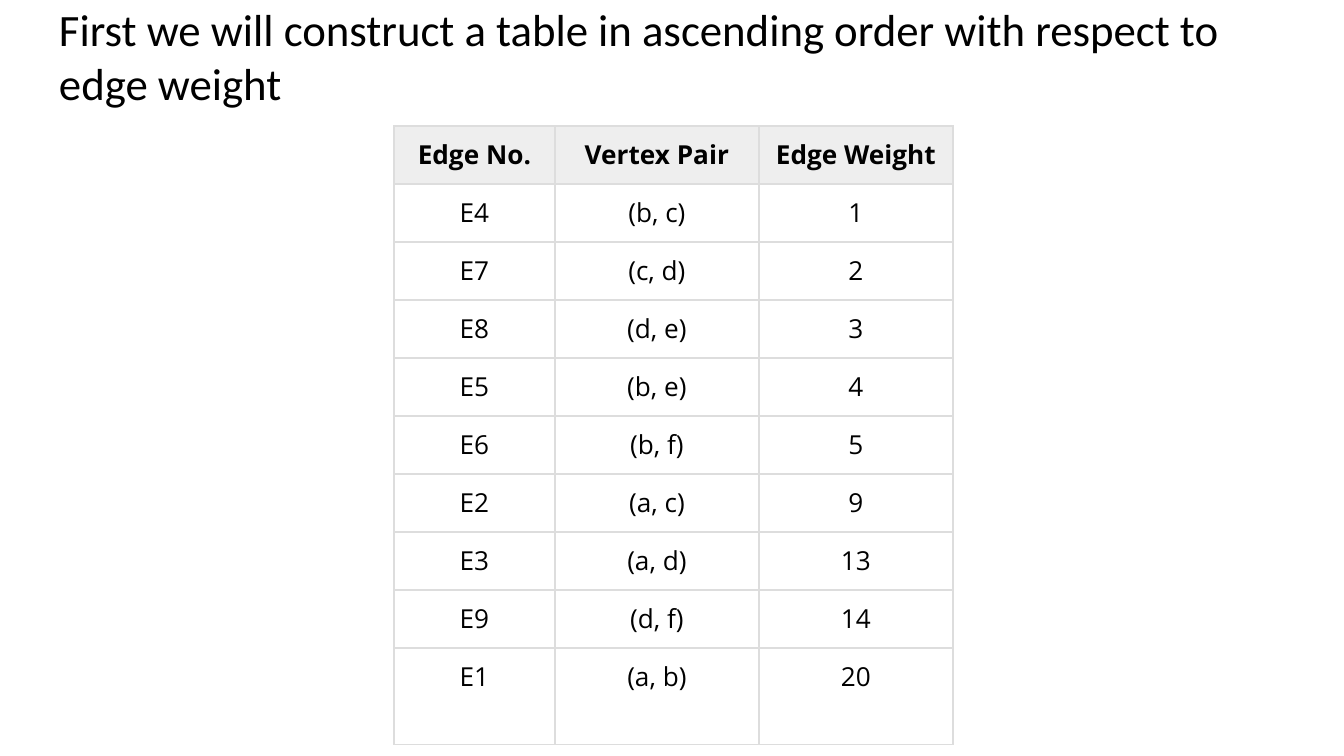
from lxml.etree import SubElement
from pptx import Presentation
from pptx.dml.color import RGBColor
from pptx.enum.text import MSO_ANCHOR as ANCHOR, MSO_AUTO_SIZE as AUTO_SIZE, PP_ALIGN as ALIGN
from pptx.oxml.ns import qn
from pptx.util import Emu, Pt

BLACK = RGBColor(0x00, 0x00, 0x00)
HEADER_GREY = RGBColor(0xEE, 0xEE, 0xEE)
BORDER_GREY = RGBColor(0xDD, 0xDD, 0xDD)


def px(n):
    return Emu(round(n * 914400 / 134.4))


def add_borders(cell):
    for side in ("lnL", "lnR", "lnT", "lnB"):
        line = SubElement(cell._tc.get_or_add_tcPr(), qn(f"a:{side}"), w=str(Pt(0.75)))
        solid = SubElement(line, qn("a:solidFill"))
        SubElement(solid, qn("a:srgbClr"), val=str(BORDER_GREY))


prs = Presentation()
prs.slide_width, prs.slide_height = px(1344), px(756)
slide = prs.slides.add_slide(prs.slide_layouts[5])

# Title
title = slide.shapes.title
title.left, title.top, title.width, title.height = px(46), px(0), px(1252), px(122)
heading = title.text_frame
heading.text = "First we will construct a table in ascending order with respect to edge weight"
heading_format = {
    "word_wrap": True, "auto_size": AUTO_SIZE.NONE, "vertical_anchor": ANCHOR.BOTTOM,
    "margin_left": px(13), "margin_right": px(13), "margin_top": px(13), "margin_bottom": px(13),
}
for name, value in heading_format.items():
    setattr(heading, name, value)
heading.paragraphs[0].alignment = ALIGN.LEFT
heading_font = heading.paragraphs[0].runs[0].font
heading_font.name, heading_font.size = "Calibri", Pt(24)
heading_font.color.rgb = BLACK

# Edges sorted by weight
edges = [
    ("Edge No.", "Vertex Pair", "Edge Weight"),
    ("E4", "(b, c)", "1"),
    ("E7", "(c, d)", "2"),
    ("E8", "(d, e)", "3"),
    ("E5", "(b, e)", "4"),
    ("E6", "(b, f)", "5"),
    ("E2", "(a, c)", "9"),
    ("E3", "(a, d)", "13"),
    ("E9", "(d, f)", "14"),
    ("E1", "(a, b)", "20"),
]
column_widths = [161, 204, 194]
row_heights = [58] * (len(edges) - 1) + [97]

edge_table = slide.shapes.add_table(
    len(edges), len(column_widths), px(394), px(126),
    px(sum(column_widths)), px(sum(row_heights))).table
edge_table.first_row = edge_table.horz_banding = False
for column, width in zip(edge_table.columns, column_widths):
    column.width = px(width)
for row, height in zip(edge_table.rows, row_heights):
    row.height = px(height)

cell_format = {
    "vertical_anchor": ANCHOR.TOP,
    "margin_left": px(11), "margin_right": px(11), "margin_top": px(11), "margin_bottom": px(11),
}
for r, edge in enumerate(edges):
    for c, label in enumerate(edge):
        cell = edge_table.cell(r, c)
        cell.text = label
        for name, value in cell_format.items():
            setattr(cell, name, value)
        add_borders(cell)
        if r == 0:
            cell.fill.solid()
            cell.fill.fore_color.rgb = HEADER_GREY
        else:
            cell.fill.background()
        paragraph = cell.text_frame.paragraphs[0]
        paragraph.alignment = ALIGN.CENTER
        font = paragraph.runs[0].font
        font.name, font.size, font.bold = "Open Sans", Pt(14), r == 0
        font.color.rgb = BLACK

prs.save("out.pptx")
